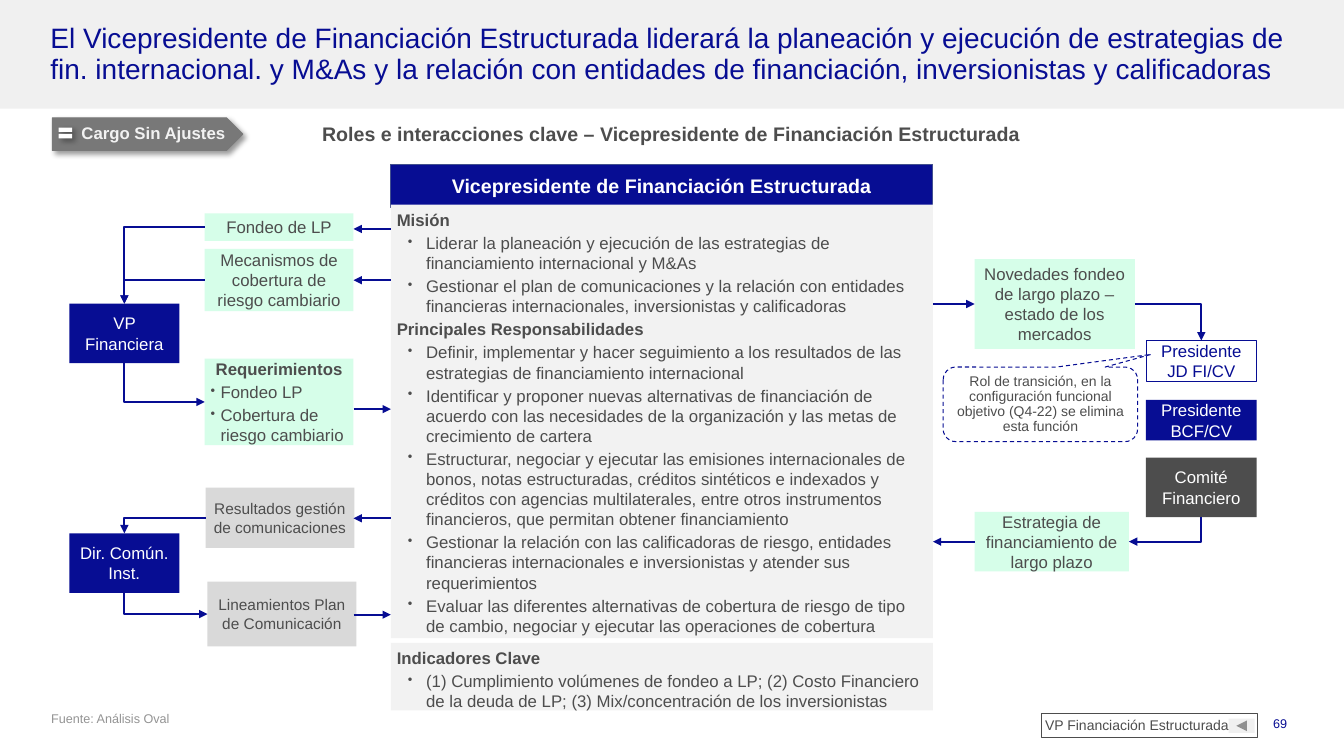
from lxml import etree
from pptx import Presentation
from pptx import util as u
from pptx.dml.color import RGBColor
from pptx.enum import dml, shapes as kinds, text
from pptx.oxml import ns

NAVY, GRAPHITE, WHITE = "070D93", "4D4D4D", "FFFFFF"
MINT, SILVER, PALE, BAND = "D6FEE9", "D9D9D9", "F2F2F2", "F0F0F0"
CENTER, RIGHT = text.PP_ALIGN.CENTER, text.PP_ALIGN.RIGHT
MIDDLE, TOP = text.MSO_ANCHOR.MIDDLE, text.MSO_ANCHOR.TOP
KIND = kinds.MSO_SHAPE
LEFT_SITE, TOP_SITE, BOTTOM_SITE, RIGHT_SITE = 1, 0, 2, 3
SNUG = {"line_spacing": 0.9, "space_after": u.Pt(3)}


def rgb(value):
    return RGBColor.from_string(value)


def assign(target, values):
    for name, value in values.items():
        setattr(target, name, value)


def child(parent, tag, **attributes):
    return etree.SubElement(parent, ns.qn(tag), attributes)


def place(shape, box):
    assign(shape, dict(zip(("left", "top", "width", "height"), map(u.Cm, box))))


def inside(box, x, y, width, height):
    return box[0] + x, box[1] + y, width, height


def add_bullet(paragraph, indent):
    properties = paragraph._p.get_or_add_pPr()
    properties.set("marL", str(u.Cm(indent[0])))
    properties.set("indent", str(u.Cm(-indent[1])))
    child(child(properties, "a:buClr"), "a:srgbClr", val=GRAPHITE)
    child(properties, "a:buSzPct", val="80000")
    child(properties, "a:buChar", char="•")


def write(shape, lines, size=12, color=GRAPHITE, bold=False, align=None, anchor=MIDDLE,
          margins=(0.15, 0.13), indent=(0.74, 0.46), spacing=None):
    frame = shape.text_frame
    side, top = map(u.Cm, margins)
    assign(frame, {"word_wrap": True, "auto_size": text.MSO_AUTO_SIZE.NONE,
                   "vertical_anchor": anchor, "margin_left": side, "margin_right": side,
                   "margin_top": top, "margin_bottom": top})
    for number, line in enumerate([lines] if isinstance(lines, str) else lines):
        paragraph = frame.paragraphs[0] if number == 0 else frame.add_paragraph()
        bulleted = line.startswith("• ")
        if bulleted:
            add_bullet(paragraph, indent)
        assign(paragraph, {"alignment": text.PP_ALIGN.LEFT if bulleted or align is None else align,
                           "space_before": u.Pt(0), **(spacing or {})})
        run = paragraph.add_run()
        run.text = line.removeprefix("• ")
        assign(run.font, {"name": "Arial", "size": u.Pt(size), "bold": bold and not bulleted})
        run.font.color.rgb = rgb(color)


def add_block(slide, box, fill=None, line=None, weight=0.75, kind=KIND.RECTANGLE):
    block = slide.shapes.add_shape(kind, *map(u.Cm, box))
    block.shadow.inherit = False
    if fill:
        block.fill.solid()
        block.fill.fore_color.rgb = rgb(fill)
    else:
        block.fill.background()
    if line:
        block.line.color.rgb = rgb(line)
        block.line.width = u.Pt(weight)
    else:
        block.line.fill.background()
    return block


def cast_shadow(block):
    effects = block._element.spPr.find(ns.qn("a:effectLst"))
    shadow = child(effects, "a:outerShdw", blurRad=str(u.Pt(4)), dist=str(u.Pt(3)),
                   dir="2700000", algn="tl", rotWithShape="0")
    child(child(shadow, "a:srgbClr", val="000000"), "a:alpha", val="40000")


def add_role(slide, box, name, fill=NAVY, line=None, color=WHITE):
    role = add_block(slide, box, fill, line, 0.5)
    write(role, name, color=color, align=CENTER, margins=(0.25, 0.13))
    return role


def add_topic(slide, box, lines, fill=MINT, size=12):
    topic = add_block(slide, box, fill)
    write(topic, lines, size, bold=len(lines) > 1, align=CENTER, indent=(0.25, 0.25),
          spacing={"space_after": u.Pt(2)})
    return topic


def finish_arrow(arrow, end):
    arrow.line.color.rgb = rgb(NAVY)
    arrow.line.width = u.Pt(1.5)
    child(arrow.line._get_or_add_ln(), end, type="triangle")
    child(arrow._element.spPr, "a:effectLst")


def add_lane(slide, start, finish, y):
    arrow = slide.shapes.add_connector(kinds.MSO_CONNECTOR.STRAIGHT, *map(u.Cm, (start, y, finish, y)))
    finish_arrow(arrow, "a:tailEnd")


def add_elbow(slide, topic, topic_site, role, role_site, to_role):
    arrow = slide.shapes.add_connector(kinds.MSO_CONNECTOR.ELBOW, 0, 0, 0, 0)
    arrow.begin_connect(topic, topic_site)
    arrow.end_connect(role, role_site)
    arrow._element.spPr.find(ns.qn("a:prstGeom")).set("prst", "bentConnector2")
    finish_arrow(arrow, "a:tailEnd" if to_role else "a:headEnd")


def build_header(slide, box):
    band = add_block(slide, inside(box, 0, 0, box[2], 2.74), BAND)
    slide.shapes._spTree.insert(2, band._element)
    title, heading = slide.placeholders
    place(title, inside(box, 1.17, 0.51, 31.5, 1.75))
    write(title, "El Vicepresidente de Financiación Estructurada liderará la planeación y ejecución de "
          "estrategias de fin. internacional. y M&As y la relación con entidades de financiación, "
          "inversionistas y calificadoras", 20, NAVY, margins=(0.1, 0.13), spacing={"line_spacing": 0.9})
    place(heading, inside(box, 1.17, 3, 31.5, 0.79))
    properties = heading.text_frame.paragraphs[0]._p.get_or_add_pPr()
    assign_indent = {"marL": "0", "indent": "0"}
    properties.attrib.update(assign_indent)
    child(properties, "a:buNone")
    write(heading, "Roles e interacciones clave – Vicepresidente de Financiación Estructurada", 14,
          bold=True, align=CENTER, margins=(0, 0), spacing={"line_spacing": 0.9})
    status = add_block(slide, inside(box, 1.32, 2.97, 4.8, 0.82), "787878", "787878", kind=KIND.PENTAGON)
    status.text_frame.paragraphs[0]._p.get_or_add_pPr().set("marL", str(u.Cm(0.5)))
    write(status, "Cargo Sin Ajustes", 12, PALE, True, CENTER, margins=(0.1, 0.13), spacing=SNUG)
    equal = add_block(slide, inside(box, 1.42, 3.12, 0.46, 0.46), WHITE, kind=KIND.MATH_EQUAL)
    for block in (status, equal):
        cast_shadow(block)


def build_profile(slide, box):
    width = box[2]
    name = add_block(slide, inside(box, 0, 0, width, 1.09), NAVY, "42508E", 0.5)
    write(name, "Vicepresidente de Financiación Estructurada", 14, WHITE, True, CENTER)
    sections = [
        (1.02, 10.92, [
            "Misión",
            "• Liderar la planeación y ejecución de las estrategias de financiamiento internacional y M&As",
            "• Gestionar el plan de comunicaciones y la relación con entidades financieras "
            "internacionales, inversionistas y calificadoras",
            "Principales Responsabilidades",
            "• Definir, implementar y hacer seguimiento a los resultados de las estrategias de "
            "financiamiento internacional",
            "• Identificar y proponer nuevas alternativas de financiación de acuerdo con las "
            "necesidades de la organización y las metas de crecimiento de cartera",
            "• Estructurar, negociar y ejecutar las emisiones internacionales de bonos, notas "
            "estructuradas, créditos sintéticos e indexados y créditos con agencias multilaterales, "
            "entre otros instrumentos financieros, que permitan obtener financiamiento",
            "• Gestionar la relación con las calificadoras de riesgo, entidades financieras "
            "internacionales e inversionistas y atender sus requerimientos",
            "• Evaluar las diferentes alternativas de cobertura de riesgo de tipo de cambio, negociar "
            "y ejecutar las operaciones de cobertura"]),
        (12.06, 1.7, [
            "Indicadores Clave",
            "• (1) Cumplimiento volúmenes de fondeo a LP; (2) Costo Financiero de la deuda de LP; "
            "(3) Mix/concentración de los inversionistas"])]
    for y, height, lines in sections:
        section = add_block(slide, inside(box, 0, y, width, height), PALE)
        write(section, lines, bold=True, anchor=TOP, spacing={"space_after": u.Pt(2)})


def build_internal_links(slide, box):
    finance = add_role(slide, inside(box, 0, 2.27, 2.77, 1.5), "VP Financiera")
    press = add_role(slide, inside(box, 0, 8.06, 2.77, 1.5), "Dir. Común. Inst.")
    flows = [
        (finance, 3.41, 0, 0.69, 0.39, True, ["Fondeo de LP"]),
        (finance, 3.41, 0.89, 1.57, 1.68, True, ["Mecanismos de cobertura de riesgo cambiario"]),
        (finance, 3.41, 3.66, 2.18, 4.93, False,
         ["Requerimientos", "• Fondeo LP", "• Cobertura de riesgo cambiario"]),
        (press, 3.43, 6.91, 1.52, 7.68, True, ["Resultados gestión de comunicaciones"]),
        (press, 3.48, 9.28, 1.63, 10.11, False, ["Lineamientos Plan de Comunicación"])]
    for role, x, y, height, lane, to_role, lines in flows:
        fill, size = (MINT, 12) if role is finance else (SILVER, 11)
        topic = add_topic(slide, inside(box, x, y, 3.75, height), lines, fill, size)
        add_elbow(slide, topic, LEFT_SITE, role, TOP_SITE if to_role else BOTTOM_SITE, to_role)
        ends = box[0] + 7.16, box[0] + box[2]
        add_lane(slide, *(reversed(ends) if to_role else ends), box[1] + lane)


def build_governance_links(slide, box):
    board = add_role(slide, inside(box, 5.37, 2.05, 2.79, 1.02), "Presidente JD FI/CV", WHITE, NAVY, NAVY)
    add_role(slide, inside(box, 5.37, 3.55, 2.79, 1.02), "Presidente BCF/CV")
    committee = add_role(slide, inside(box, 5.37, 5, 2.79, 1.5), "Comité Financiero", GRAPHITE)
    news = add_topic(slide, inside(box, 1.05, 0, 4.04, 2.26),
                     ["Novedades fondeo de largo plazo – estado de los mercados"])
    strategy = add_topic(slide, inside(box, 1.05, 6.37, 3.89, 1.5),
                         ["Estrategia de financiamiento de largo plazo"])
    add_elbow(slide, news, RIGHT_SITE, board, TOP_SITE, True)
    add_elbow(slide, strategy, RIGHT_SITE, committee, BOTTOM_SITE, False)
    add_lane(slide, box[0], box[0] + 1.05, box[1] + 1.13)
    add_lane(slide, box[0] + 1.05, box[0], box[1] + 7.12)
    transition = add_block(slide, inside(box, 0.26, 2.72, 4.9, 1.88), WHITE, NAVY,
                           kind=KIND.ROUNDED_RECTANGULAR_CALLOUT)
    transition.line.dash_style = dml.MSO_LINE.DASH
    for number, value in enumerate((0.57, -0.67, 0.17)):
        transition.adjustments[number] = value
    write(transition, "Rol de transición, en la configuración funcional objetivo (Q4-22) se elimina esta función",
          10, align=CENTER, margins=(0.1, 0.13), spacing=SNUG)


def build_footer(slide, box):
    notes = [((0, 0, 24, 1.02), "Fuente: Análisis Oval", "949494", None, (0.1, 0)),
             ((28.68, 0, 2.82, 1.02), "69", NAVY, RIGHT, (0.25, 0.13))]
    for part, words, color, align, margins in notes:
        note = slide.shapes.add_textbox(*map(u.Cm, inside(box, *part)))
        write(note, words, 9, color, align=align, anchor=TOP, margins=margins)
    back = add_block(slide, inside(box, 29.77, 0.2, 0.66, 0.36), BAND, kind=KIND.ACTION_BUTTON_FORWARD_OR_NEXT)
    back.rotation = 180
    section = add_block(slide, inside(box, 25.05, 0.07, 5.44, 0.61), line=GRAPHITE)
    write(section, "VP Financiación Estructurada", 10, anchor=TOP, margins=(0.1, 0.13), spacing=SNUG)


def main():
    deck = Presentation()
    assign(deck, {"slide_width": u.Cm(33.87), "slide_height": u.Cm(19.05)})
    slide = deck.slides.add_slide(deck.slide_layouts[1])
    build_header(slide, (0, 0, 33.87, 3.8))
    build_profile(slide, (9.85, 4.14, 13.66, 13.76))
    build_internal_links(slide, (1.75, 5.38, 8.1, 10.91))
    build_governance_links(slide, (23.51, 6.53, 8.16, 7.87))
    build_footer(slide, (1.19, 17.91, 31.5, 1.02))
    deck.save("out.pptx")


if __name__ == "__main__":
    main()
